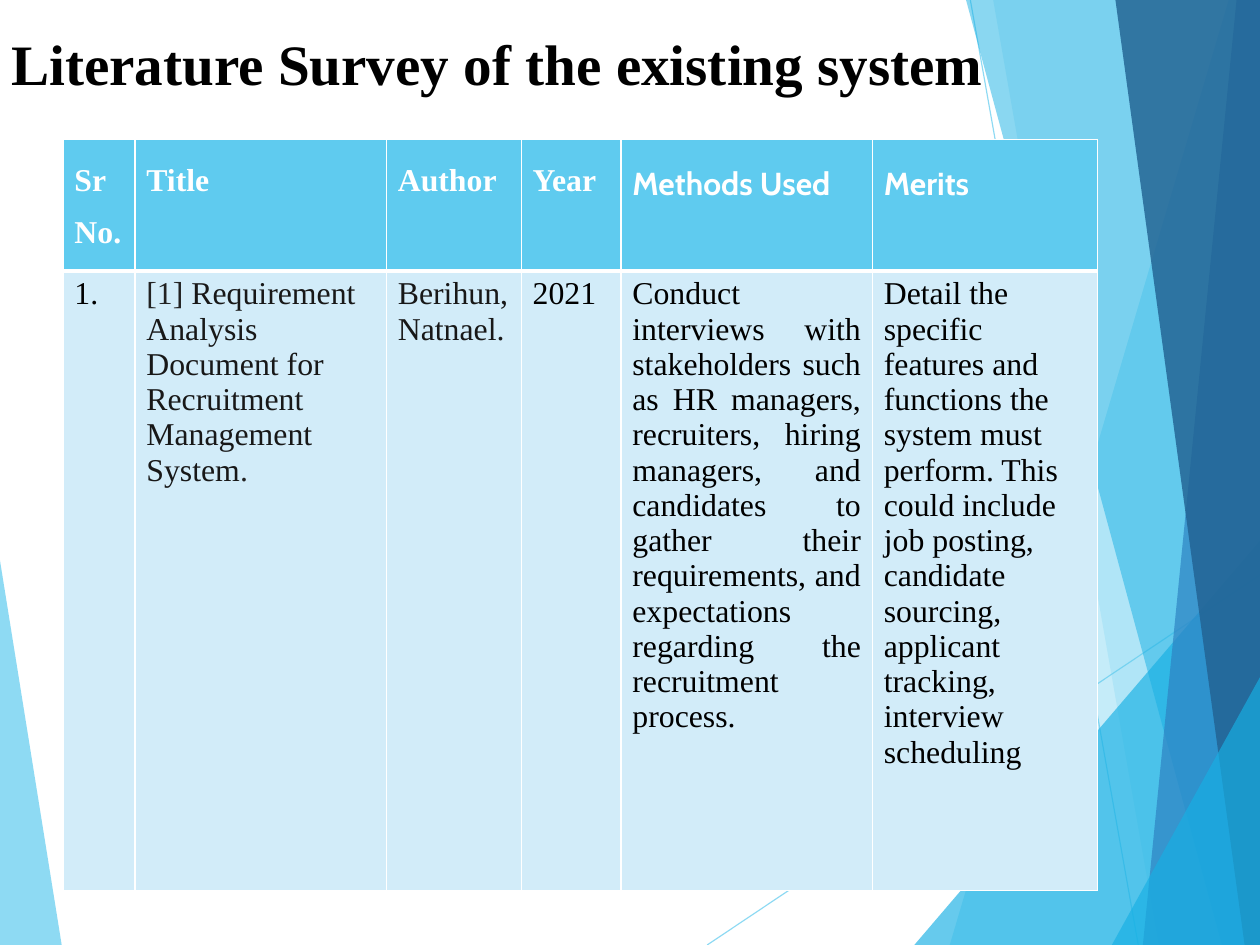
from lxml import etree
from pptx import Presentation
from pptx.dml.color import RGBColor
from pptx.enum import shapes, text
from pptx.oxml.ns import qn
from pptx.util import Pt

HUE = {"sky": "5FCBEF", "cyan": "17B0E4", "blue": "2E83C3", "navy": "226292",
       "pale": "D2ECF9", "white": "FFFFFF", "black": "000000",
       "ink": "181818", "coal": "222222"}
SERIF, SANS = "Times New Roman", "Cabin"
WIDE, HIGH = 793.75, 595.25

LEFT = ("sky", 70, [(0, 353), (38.9, HIGH), (0, HIGH)])
LINES = [((445.5, HIGH), (WIDE, 362.2)), ((611.3, 0), (717.1, HIGH))]
FACETS = [
    ("sky", 36, [(774, 0), (598.3, HIGH), (WIDE, HIGH), (WIDE, 0)]),
    ("sky", 20, [(625.7, 0), (730.1, HIGH), (WIDE, HIGH), (WIDE, 0)]),
    ("cyan", 66, [(576, HIGH), (WIDE, 340.6), (WIDE, HIGH)]),
    ("cyan", 50, [(608.6, 0), (769.7, HIGH), (WIDE, HIGH), (WIDE, 0)]),
    ("blue", 70, [(779, 0), (720, HIGH), (WIDE, HIGH), (WIDE, 0)]),
    ("navy", 82, [(702.7, 0), (784.1, HIGH), (WIDE, HIGH), (WIDE, 0)]),
    ("cyan", 66, [(700.4, HIGH), (WIDE, 426.5), (WIDE, HIGH)]),
]

TITLE = "Literature Survey of the existing system"
COLS = [45.3, 158.4, 85, 62.8, 158.4, 141.7]
ROWS = [82.8, 390.2]
HEAD = [("Sr No.", SERIF), ("Title", SERIF), ("Author", SERIF),
        ("Year", SERIF), ("Methods Used", SANS), ("Merits", SANS)]
BODY = [
    [("1.", "black")],
    [("[1]", "coal"),
     (" Requirement Analysis Document for Recruitment Management System", "ink"),
     (".", "coal")],
    [("Berihun, Natnael.", "ink")],
    [("2021", "black")],
    [("Conduct interviews with stakeholders such as HR managers, recruiters, "
      "hiring managers, and candidates to gather their requirements, and "
      "expectations regarding the recruitment process.", "black")],
    [("Detail the specific features and functions the system must perform. "
      "This could include job posting, candidate sourcing, applicant tracking, "
      "interview scheduling", "black")],
]
JUST = 4


def put(item, **vals):
    for key, val in vals.items():
        setattr(item, key, val)


def rgb(name):
    return RGBColor.from_string(HUE[name])


def fade(shape, pct):
    for color in shape.element.spPr.iter(qn("a:srgbClr")):
        etree.SubElement(color, qn("a:alpha"), val=str(pct * 1000))


def facet(slide, hue, pct, dots):
    pts = [(Pt(x), Pt(y)) for x, y in dots]
    form = slide.shapes.build_freeform(*pts[0], scale=1)
    form.add_line_segments(pts[1:], close=True)
    shape = form.convert_to_shape()
    shape.shadow.inherit = False
    shape.fill.solid()
    shape.fill.fore_color.rgb = rgb(hue)
    shape.line.fill.background()
    fade(shape, pct)


def ray(slide, start, end):
    line = slide.shapes.add_connector(
        shapes.MSO_CONNECTOR.STRAIGHT, *map(Pt, start + end))
    line.line.color.rgb = rgb("sky")
    line.line.width = Pt(0.75)
    fade(line, 70)
    etree.SubElement(line.element.spPr, qn("a:effectLst"))


def write(para, words, hue, size, bold, face=SERIF):
    run = para.add_run()
    run.text = words
    put(run.font, name=face, size=Pt(size), bold=bold)
    run.font.color.rgb = rgb(hue)


def edge(cell, sides):
    props = cell._tc.get_or_add_tcPr()
    for spot, (side, width) in enumerate(sides.items()):
        line = etree.Element(qn("a:ln" + side), w=str(Pt(width)))
        fill = etree.SubElement(line, qn("a:solidFill"))
        etree.SubElement(fill, qn("a:srgbClr"), val=HUE["white"])
        props.insert(spot, line)


def style(cell, hue, sides):
    put(cell, margin_left=Pt(7.2), margin_right=Pt(7.2),
        margin_top=Pt(3.6), margin_bottom=Pt(3.6))
    cell.fill.solid()
    cell.fill.fore_color.rgb = rgb(hue)
    edge(cell, sides)
    return cell.text_frame.paragraphs[0]


def survey(slide):
    grid = slide.shapes.add_table(
        2, len(COLS), Pt(39.7), Pt(87.8), Pt(sum(COLS)), Pt(sum(ROWS))).table
    put(grid, first_row=False, horz_banding=False)
    for col, width in zip(grid.columns, COLS):
        col.width = Pt(width)
    for row, height in zip(grid.rows, ROWS):
        row.height = Pt(height)
    for num, ((words, face), runs) in enumerate(zip(HEAD, BODY)):
        para = style(grid.cell(0, num), "sky", {"L": 1, "R": 1, "T": 1, "B": 3})
        para.line_spacing = 1.5
        write(para, words, "white", 20, True, face)
        para = style(grid.cell(1, num), "pale", {"L": 1, "R": 1, "T": 3, "B": 1})
        if num == JUST:
            para.alignment = text.PP_ALIGN.JUSTIFY
        for part, hue in runs:
            write(para, part, hue, 20, False)


def main():
    deck = Presentation()
    put(deck, slide_width=Pt(WIDE), slide_height=Pt(HIGH))
    slide = deck.slides.add_slide(deck.slide_layouts[6])
    facet(slide, *LEFT)
    for ends in LINES:
        ray(slide, *ends)
    for item in FACETS:
        facet(slide, *item)
    box = slide.shapes.add_textbox(Pt(0), Pt(14), Pt(633), Pt(51.1))
    put(box.text_frame, word_wrap=True, vertical_anchor=text.MSO_ANCHOR.MIDDLE)
    write(box.text_frame.paragraphs[0], TITLE, "black", 36, True)
    survey(slide)
    deck.save("out.pptx")


if __name__ == "__main__":
    main()
